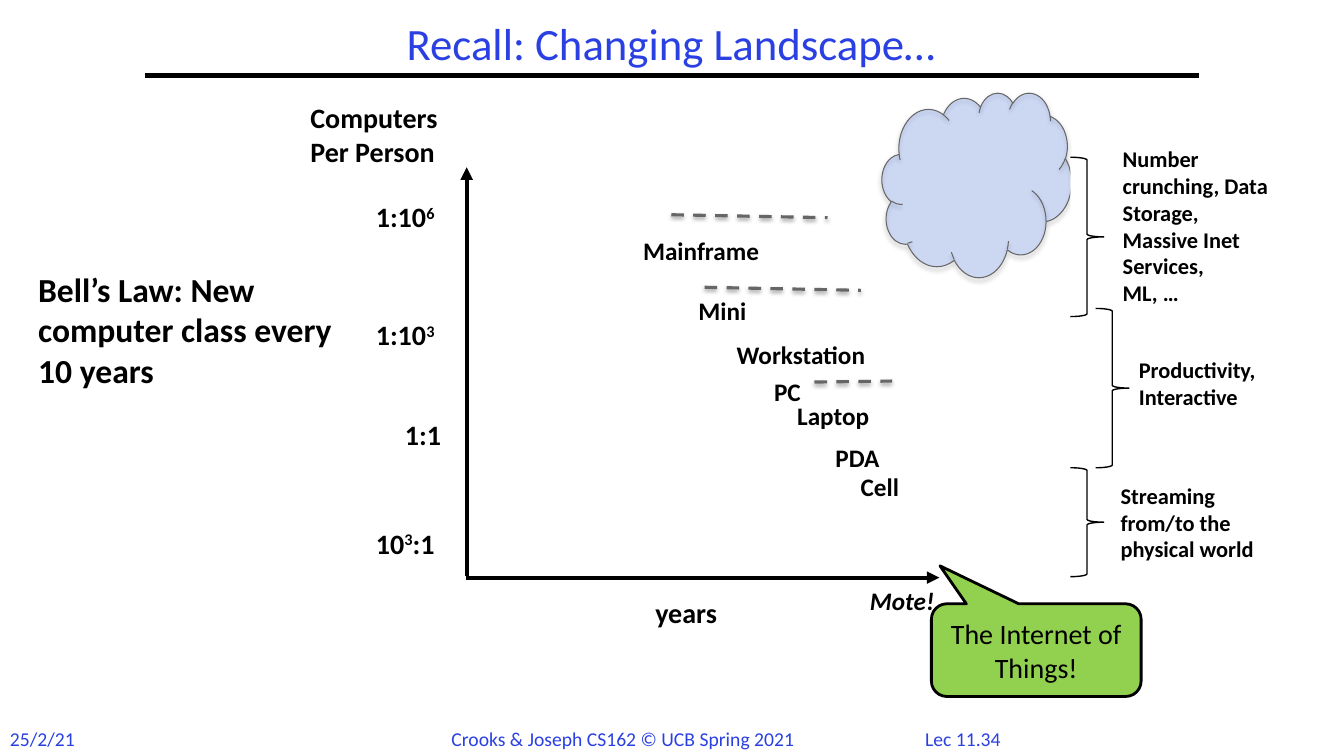
"""Build the Bell's Law slide on the changing computing landscape."""
from lxml import etree
from pptx import Presentation
from pptx.dml.color import RGBColor
from pptx.enum.dml import MSO_LINE
from pptx.enum.shapes import MSO_CONNECTOR, MSO_SHAPE
from pptx.enum.text import MSO_ANCHOR, PP_ALIGN
from pptx.oxml.ns import qn
from pptx.util import Pt

LEFT, MID = PP_ALIGN.LEFT, PP_ALIGN.CENTER
TOP, CENTER = MSO_ANCHOR.TOP, MSO_ANCHOR.MIDDLE
DASH, STRAIGHT = MSO_LINE.DASH, MSO_CONNECTOR.STRAIGHT
CLOUD, BRACE = MSO_SHAPE.CLOUD, MSO_SHAPE.RIGHT_BRACE
BUBBLE = MSO_SHAPE.ROUNDED_RECTANGULAR_CALLOUT

FONT = "Calibri"
COLORS = {"ink": "000000", "blue": "2A40E2", "gray": "666666",
          "sky": "0B52FC", "green": "92D050", "white": "FFFFFF"}

STYLES = {
    "title": {"size": 32, "color": "blue", "align": MID, "anchor": CENTER, "space": 0.9},
    "foot": {"size": 14, "color": "blue", "wrap": False},
    "law": {"size": 24, "bold": True},
    "axis": {"size": 20, "bold": True},
    "class": {"size": 18, "bold": True},
    "mote": {"size": 18, "bold": True, "italic": True},
    "use": {"size": 16, "bold": True},
    "call": {"size": 20, "align": MID, "anchor": CENTER},
}

# Superscripts stand between carets; newlines part paragraphs.
TEXTS = [
    ("foot", "Lec 11.34", (653.8, 515.5, 77, 24)),
    ("foot", "25/2/21", (0, 515.5, 61.2, 24)),
    ("foot", "Crooks & Joseph CS162 © UCB Spring 2021", (315.4, 515.5, 261.4, 24)),
    ("title", "Recall: Changing Landscape…", (103.7, 12.2, 751.7, 41.8)),
    ("axis", "Computers\nPer Person", (214.6, 68.4, 135.4, 55.4)),
    ("axis", "1:10^6^", (261.4, 139, 72, 31.7)),
    ("axis", "1:10^3^", (261.4, 223.2, 72, 31.7)),
    ("axis", "1:1", (282.2, 294.5, 51.8, 31.7)),
    ("axis", "10^3^:1", (261.4, 372.2, 72, 31.7)),
    ("axis", "years", (461, 421.9, 66, 31.7)),
    ("class", "Mainframe", (452.2, 164.2, 147.6, 29.5)),
    ("class", "Mini", (491.8, 207.4, 79.9, 29.5)),
    ("class", "Workstation", (519.1, 239, 141.8, 29.5)),
    ("class", "PC", (545.8, 265, 52.6, 29.5)),
    ("class", "Laptop", (562.3, 282.2, 115.9, 29.5)),
    ("class", "PDA", (589.7, 312.5, 67.7, 29.5)),
    ("class", "Cell", (607.7, 333.4, 55.4, 29.5)),
    ("mote", "Mote!", (614.2, 414.7, 61.2, 51.1)),
    ("law", "Bell’s Law: New computer class every 10 years", (20.2, 188.6, 228.2, 94.3)),
    ("use", "Number crunching, Data Storage, Massive Inet Services,\nML, …",
     (794.9, 100.1, 120.2, 123.8)),
    ("use", "Productivity,\nInteractive", (806.4, 250.6, 120.2, 46.1)),
    ("use", "Streaming from/to the physical world", (793.4, 340.6, 120.2, 85)),
]
RULE = (103.7, 54, 856.1, 54)
AXES = [(332.6, 412.6, 671, 412.6), (333.4, 411.1, 333.4, 119.5)]
DASHES = [(479.5, 153.4, 591.1, 155.5), (503.3, 205.2, 614.9, 207.4),
          (581.8, 272.9, 637.2, 272.2)]
BRACES = [(764.6, 112.3, 23.8, 113.8), (782.6, 220.3, 23.8, 113.8),
          (764.6, 334.1, 23.8, 77.8)]
NET = ("The Internet of Things!", (665.3, 431.3, 149.8, 66.2), (-0.459, -0.91, 0.167))
SKY = (630, 66.2, 135.4, 131.8)


def tint(name):
    return RGBColor.from_string(COLORS[name])


def node(root, tag, **attrs):
    return etree.SubElement(root, qn(tag), {k: str(v) for k, v in attrs.items()})


def shade(effects, alpha, dist):
    cast = node(effects, "a:outerShdw", blurRad=Pt(3.1), dist=Pt(dist),
                dir=5400000, rotWithShape=0)
    node(node(cast, "a:srgbClr", val=COLORS["ink"]), "a:alpha", val=alpha * 1000)


def write(shape, text, style):
    look = {"color": "ink", "align": LEFT, "anchor": TOP, "wrap": True, **STYLES[style]}
    frame = shape.text_frame
    frame.word_wrap, frame.vertical_anchor = look["wrap"], look["anchor"]
    form = {"name": FONT, "size": Pt(look["size"]),
            "bold": look.get("bold", False), "italic": look.get("italic", False)}
    for i, line in enumerate(text.split("\n")):
        para = frame.add_paragraph() if i else frame.paragraphs[0]
        para.alignment = look["align"]
        if "space" in look:
            para.line_spacing = look["space"]
        for j, part in enumerate(line.split("^")):
            if not part:
                continue
            run = para.add_run()
            run.text = part
            for key, value in form.items():
                setattr(run.font, key, value)
            run.font.color.rgb = tint(look["color"])
            if j % 2:
                run.font._element.set("baseline", "30000")


def stroke(shapes, ends, color="ink", width=3, dash=None, arrow=False):
    wire = shapes.add_connector(STRAIGHT, *map(Pt, ends))
    wire.line.color.rgb, wire.line.width = tint(color), Pt(width)
    if dash:
        wire.line.dash_style = dash
    if arrow:
        node(wire.line._get_or_add_ln(), "a:tailEnd", type="triangle")
    effects = node(wire._element.spPr, "a:effectLst")
    if dash:
        shade(effects, 38, 1.6)


def draw(shapes, kind, box, fill, line, width):
    shape = shapes.add_shape(kind, *map(Pt, box))
    shape.shadow.inherit = False
    shape.fill.solid()
    shape.fill.fore_color.rgb = tint(fill)
    shape.line.color.rgb, shape.line.width = tint(line), Pt(width)
    return shape


def main():
    deck = Presentation()
    deck.slide_width, deck.slide_height = Pt(960), Pt(540)
    shapes = deck.slides.add_slide(deck.slide_layouts[6]).shapes
    stroke(shapes, RULE)
    for style, text, box in TEXTS:
        write(shapes.add_textbox(*map(Pt, box)), text, style)
    for ends in AXES:
        stroke(shapes, ends, arrow=True)
    for ends in DASHES:
        stroke(shapes, ends, "gray", 2.25, DASH)

    cloud = draw(shapes, CLOUD, SKY, "sky", "gray", 0.75)
    props = cloud._element.spPr
    node(props.find(qn("a:solidFill"))[0], "a:alpha", val=16000)
    shade(props.find(qn("a:effectLst")), 35, 1.8)

    text, box, bends = NET
    bubble = draw(shapes, BUBBLE, box, "green", "ink", 2)
    for i, bend in enumerate(bends):
        bubble.adjustments[i] = bend
    write(bubble, text, "call")
    for box in BRACES:
        draw(shapes, BRACE, box, "white", "ink", 1)
    deck.save("out.pptx")


if __name__ == "__main__":
    main()
